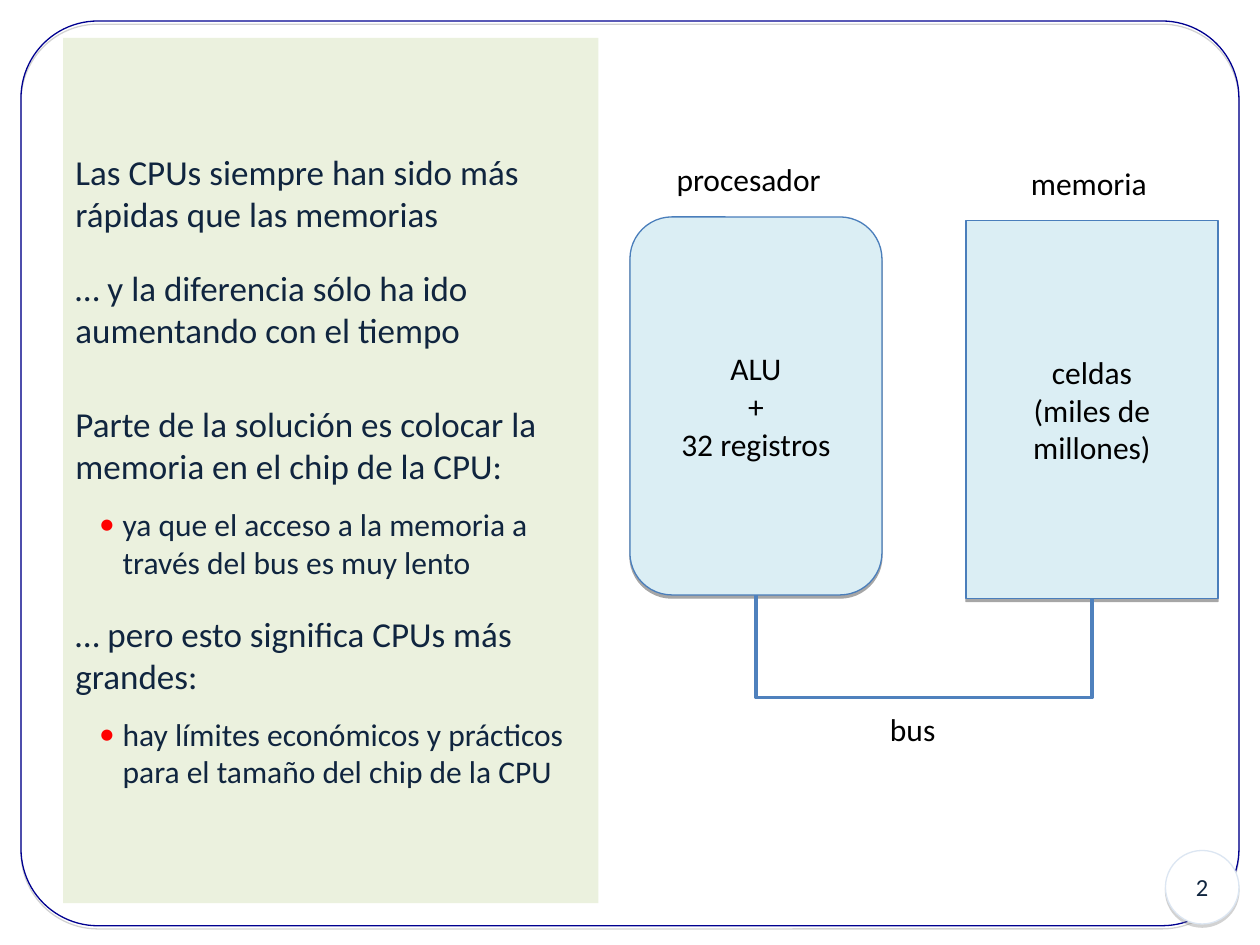
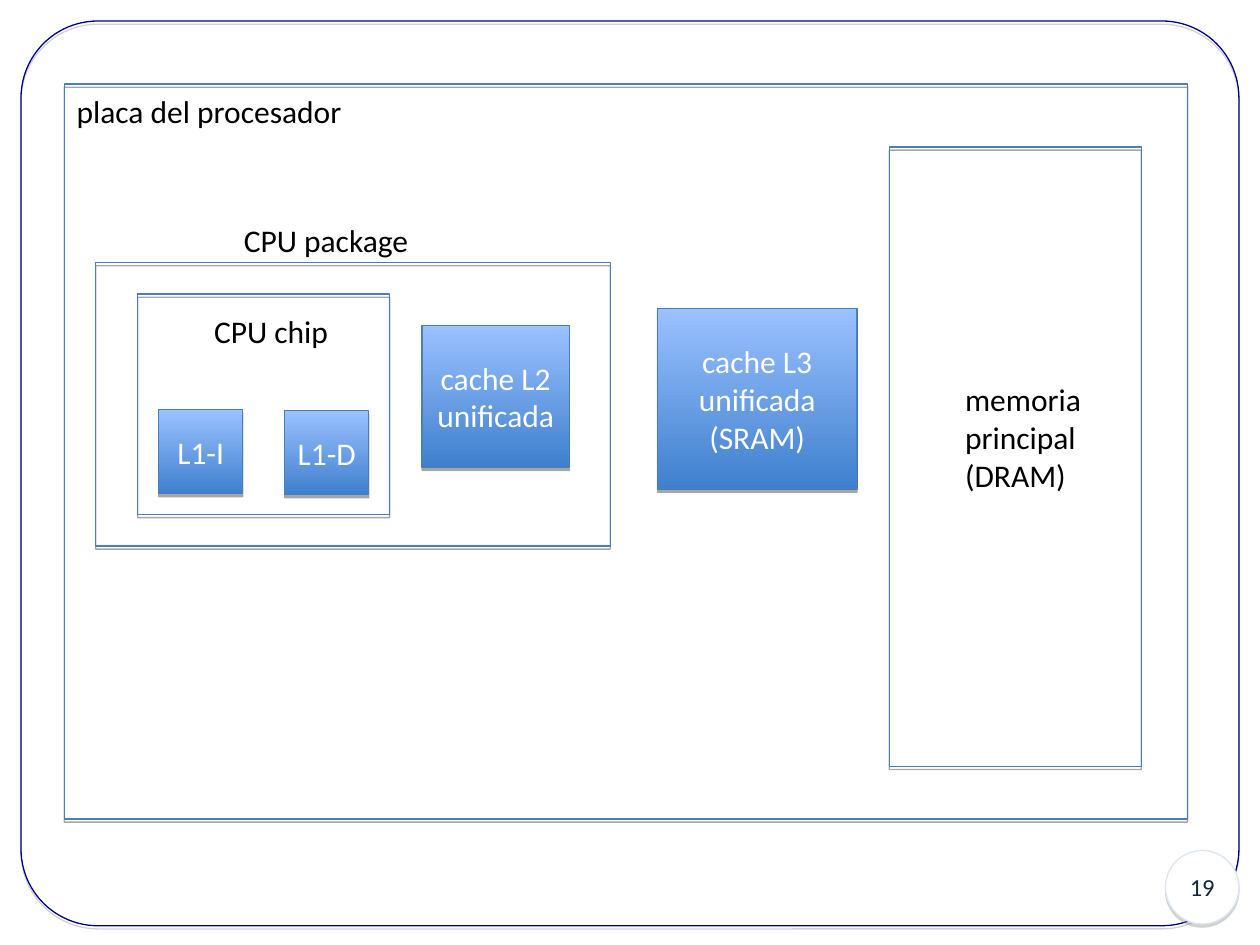
from lxml import etree
from pptx import Presentation
from pptx.dml.color import RGBColor
from pptx.enum import shapes, text
from pptx.oxml import ns
from pptx.util import Pt

FONT = "Calibri"
COLORS = {
    "frame": "000090",
    "badge_line": "DCE6F2",
    "navy": "10253F",
    "panel": "EBF1DE",
    "block": "DBEEF4",
    "outline": "4A7EBB",
    "bus": "4F81BD",
    "cache_dark": "3F80CD",
    "cache_light": "9BC1FF",
    "bullet": "FF0000",
    "grey": "808080",
    "black": "000000",
    "white": "FFFFFF",
}
CACHE = ("cache_dark", "cache_light")
LABEL_HEIGHT = 28.8
RECTANGLE = shapes.MSO_SHAPE.RECTANGLE
ROUNDED = shapes.MSO_SHAPE.ROUNDED_RECTANGLE
CENTER = text.PP_ALIGN.CENTER

SPEED_NOTES = [
    ("Las CPUs siempre han sido más rápidas que las memorias", 0, False),
    ("… y la diferencia sólo ha ido aumentando con el tiempo", 18, False),
    ("Parte de la solución es colocar la memoria en el chip de la CPU:", 30, False),
    ("ya que el acceso a la memoria a través del bus es muy lento", 10.5, True),
    ("… pero esto significa CPUs más grandes:", 18, False),
    ("hay límites económicos y prácticos para el tamaño del chip de la CPU", 10.5, True),
]


def rgb(name):
    return RGBColor.from_string(COLORS[name])


def points(*lengths):
    return [Pt(length) for length in lengths]


def inside(box, left, top, width, height):
    return box[0] + left, box[1] + top, width, height


def add_child(parent, tag, **attributes):
    return etree.SubElement(parent, ns.qn(tag), attributes)


def add_bullet(paragraph):
    properties = paragraph._p.get_or_add_pPr()
    properties.set("marL", str(Pt(27)))
    properties.set("indent", str(Pt(-13.5)))
    color = add_child(properties, "a:buClr")
    add_child(color, "a:srgbClr", val=COLORS["bullet"])
    add_child(properties, "a:buFont", typeface=FONT)
    add_child(properties, "a:buChar", char="•")


def write(paragraph, content, size=18, color="black", align=None, before=0, bullet=False):
    if bullet:
        add_bullet(paragraph)
    paragraph.text = content
    paragraph.alignment = align
    if before:
        paragraph.space_before = Pt(before)
    paragraph.font.size = Pt(size)
    paragraph.font.name = FONT
    paragraph.font.color.rgb = rgb(color)


def write_lines(frame, lines, **style):
    for index, line in enumerate(lines):
        paragraph = frame.paragraphs[0] if index == 0 else frame.add_paragraph()
        write(paragraph, line, **style)


def add_shadow(shape, color):
    effects = shape._element.spPr.find(ns.qn("a:effectLst"))
    shadow = add_child(effects, "a:outerShdw", blurRad="0", dist=str(Pt(1.8)),
                       dir="5400000", rotWithShape="0")
    shade = add_child(shadow, "a:srgbClr", val=COLORS[color])
    add_child(shade, "a:alpha", val="35000")


def add_block(slide, box, lines=(), kind=RECTANGLE, fill=None, line="outline",
              shadow="black", **style):
    shape = slide.shapes.add_shape(kind, *points(*box))
    shape.shadow.inherit = False
    if shadow:
        add_shadow(shape, shadow)
    if fill is None:
        shape.fill.background()
    elif fill == CACHE:
        shape.fill.gradient()
        shape.fill.gradient_angle = 90
        for stop, color in zip(shape.fill.gradient_stops, CACHE):
            stop.color.rgb = rgb(color)
    else:
        shape.fill.solid()
        shape.fill.fore_color.rgb = rgb(fill)
    if line:
        shape.line.color.rgb = rgb(line)
        shape.line.width = Pt(0.75)
    else:
        shape.line.fill.background()
    shape.text_frame.vertical_anchor = text.MSO_ANCHOR.MIDDLE
    write_lines(shape.text_frame, lines, align=CENTER, **style)
    return shape


def add_label(slide, box, *lines):
    frame = slide.shapes.add_textbox(*points(*box)).text_frame
    frame.word_wrap = False
    frame.auto_size = text.MSO_AUTO_SIZE.SHAPE_TO_FIT_TEXT
    write_lines(frame, lines)


def add_cache(slide, box, *lines):
    add_block(slide, box, lines, fill=CACHE, color="white")


def add_bus(slide, start, end, depth):
    (start_x, start_y), (end_x, end_y) = start, end
    span, drop = end_x - start_x, end_y - start_y
    middle_x, middle_y = (start_x + end_x) / 2, (start_y + end_y) / 2
    connector = slide.shapes.add_connector(
        shapes.MSO_CONNECTOR.ELBOW,
        *points(middle_x + drop / 2, middle_y - span / 2,
                middle_x - drop / 2, middle_y + span / 2))
    properties = connector._element.spPr
    properties.find(ns.qn("a:xfrm")).set("rot", "16200000")
    geometry = properties.find(ns.qn("a:prstGeom"))
    adjustments = geometry.find(ns.qn("a:avLst"))
    if adjustments is None:
        adjustments = add_child(geometry, "a:avLst")
    add_child(adjustments, "a:gd", name="adj1", fmla=f"val {round(depth / drop * 100000)}")
    connector.line.color.rgb = rgb("bus")
    connector.line.width = Pt(2)
    add_child(properties, "a:effectLst")


def add_page(presentation, number):
    slide = presentation.slides.add_slide(presentation.slide_layouts[6])
    frame = add_block(slide, (12, 12, 696, 517), kind=ROUNDED, line="frame", shadow="grey")
    frame.adjustments[0] = 0.085
    add_block(slide, (666, 486, 42, 42), [number], kind=shapes.MSO_SHAPE.OVAL,
              fill="white", line="badge_line", shadow="grey", size=14, color="navy")
    return slide


def add_notes_panel(slide, box):
    panel = add_block(slide, box, fill="panel", line=None, shadow=None)
    frame = panel.text_frame
    for index, (content, before, bullet) in enumerate(SPEED_NOTES):
        paragraph = frame.paragraphs[0] if index == 0 else frame.add_paragraph()
        write(paragraph, content, size=18 if bullet else 20, color="navy",
              align=text.PP_ALIGN.LEFT, before=before, bullet=bullet)


def add_bus_diagram(slide, box):
    processor = inside(box, 0, 36, 144, 216)
    memory = inside(box, 192, 38, 144, 216)
    add_block(slide, memory, ["celdas", "(miles de", "millones)"], fill="block")
    add_block(slide, processor, ["ALU", "+", "32 registros"], kind=ROUNDED, fill="block")
    add_label(slide, inside(box, 19.5, 0, 98, LABEL_HEIGHT), "procesador")
    add_label(slide, inside(box, 222, 2, 82, LABEL_HEIGHT), "memoria")
    ends = [(left + width / 2, top + height)
            for left, top, width, height in (processor, memory)]
    add_bus(slide, *ends, depth=58.2)
    add_label(slide, inside(box, 141.5, 314, 44, LABEL_HEIGHT), "bus")


def add_cpu_package(slide, box):
    add_block(slide, box)
    add_label(slide, inside(box, 77.5, -27.5, 112, LABEL_HEIGHT), "CPU package")
    chip = inside(box, 24, 18, 144, 126)
    add_block(slide, chip)
    add_label(slide, inside(chip, 36.5, 7, 84, LABEL_HEIGHT), "CPU chip")
    for index, name in enumerate(["L1-I", "L1-D"]):
        add_cache(slide, inside(chip, 12 + 72 * index, 66 + 0.7 * index, 48, 48), name)
    add_cache(slide, inside(box, 186.5, 36, 84.2, 81), "cache L2", "unificada")


def add_main_memory(slide, box):
    add_block(slide, box)
    add_label(slide, inside(box, 36.2, 129.7, 82, 72), "memoria", "principal", "(DRAM)")


def add_processor_board(slide, box):
    add_block(slide, box)
    add_label(slide, inside(box, 0, 1, 168, LABEL_HEIGHT), "placa del procesador")
    add_cpu_package(slide, inside(box, 18, 102, 294, 162))
    add_cache(slide, inside(box, 339, 128.5, 114, 103), "cache L3", "unificada", "(SRAM)")
    add_main_memory(slide, inside(box, 471.5, 36, 144, 354))


def main():
    presentation = Presentation()
    presentation.slide_width, presentation.slide_height = points(720, 540)

    speed_gap = add_page(presentation, "2")
    add_notes_panel(speed_gap, (36, 21.6, 306, 494.6))
    add_bus_diagram(speed_gap, (360, 88, 336, 343))

    cache_levels = add_page(presentation, "19")
    add_processor_board(cache_levels, (36.7, 48, 642, 420))

    presentation.save("out.pptx")


if __name__ == "__main__":
    main()
